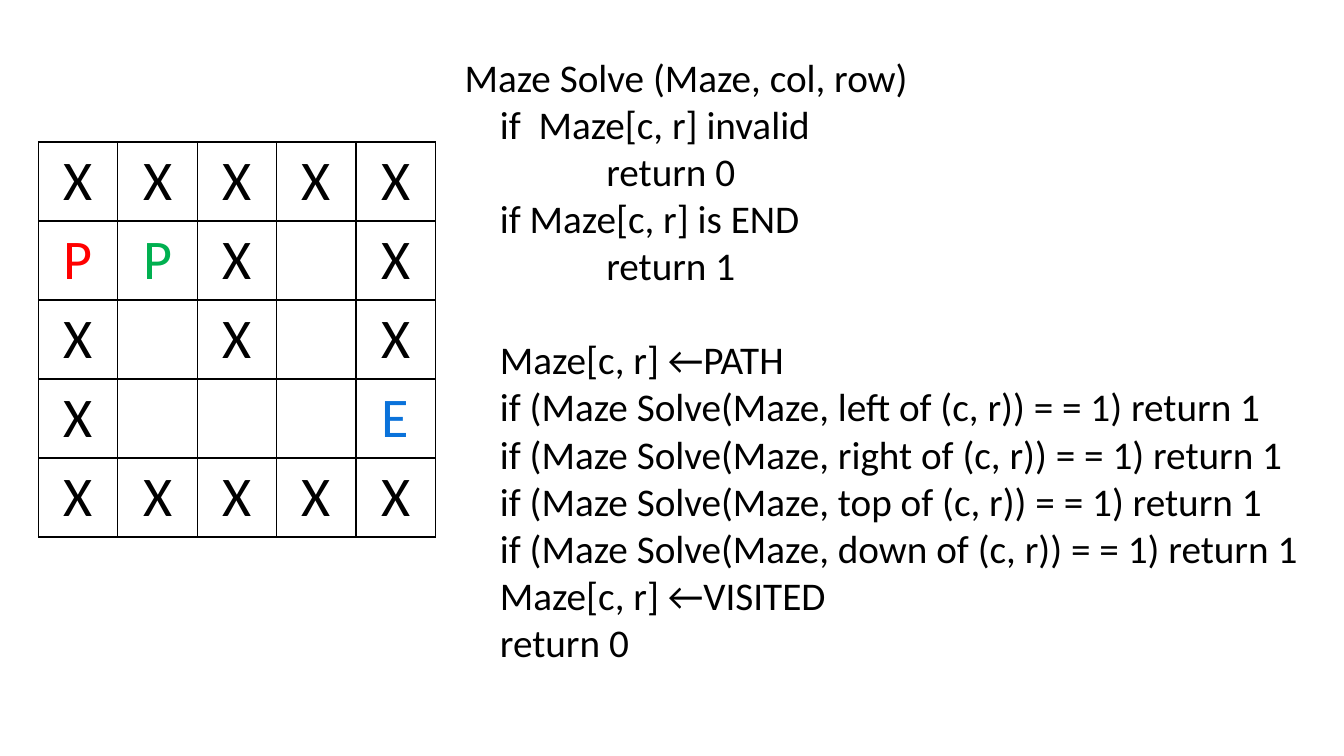
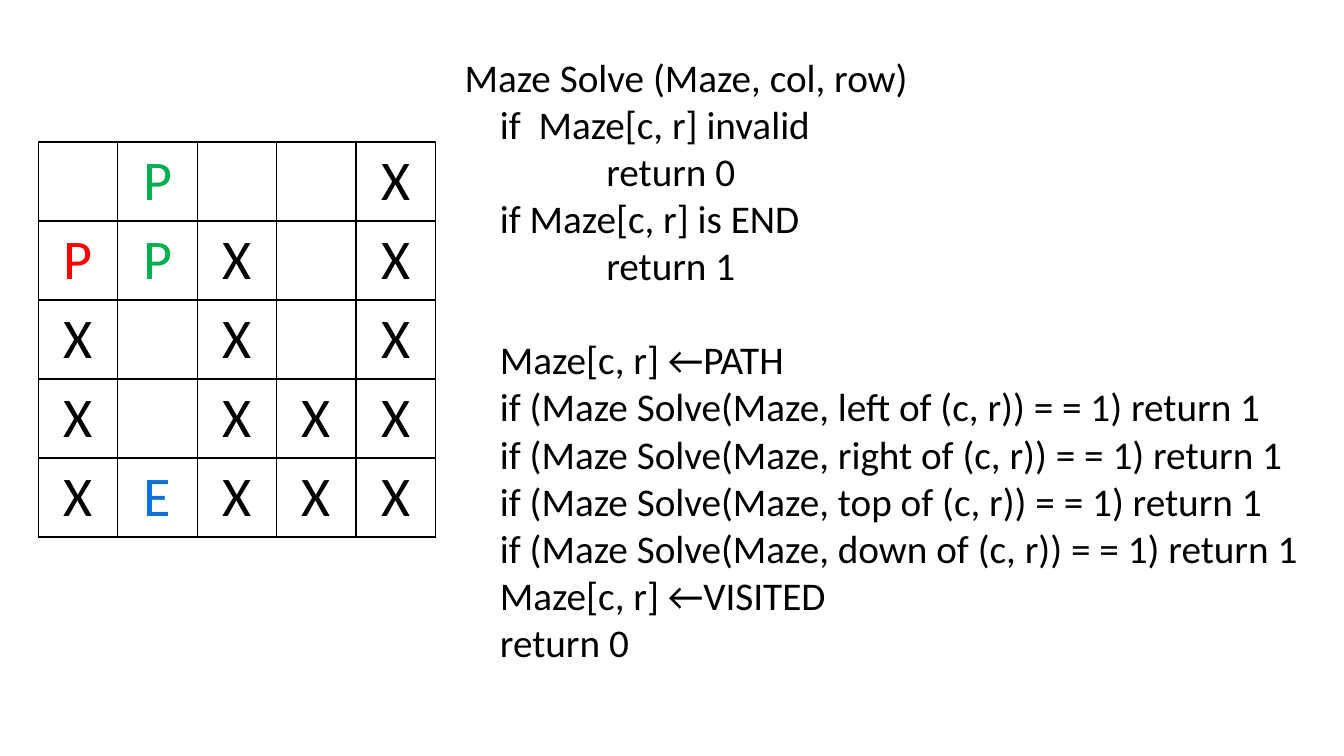
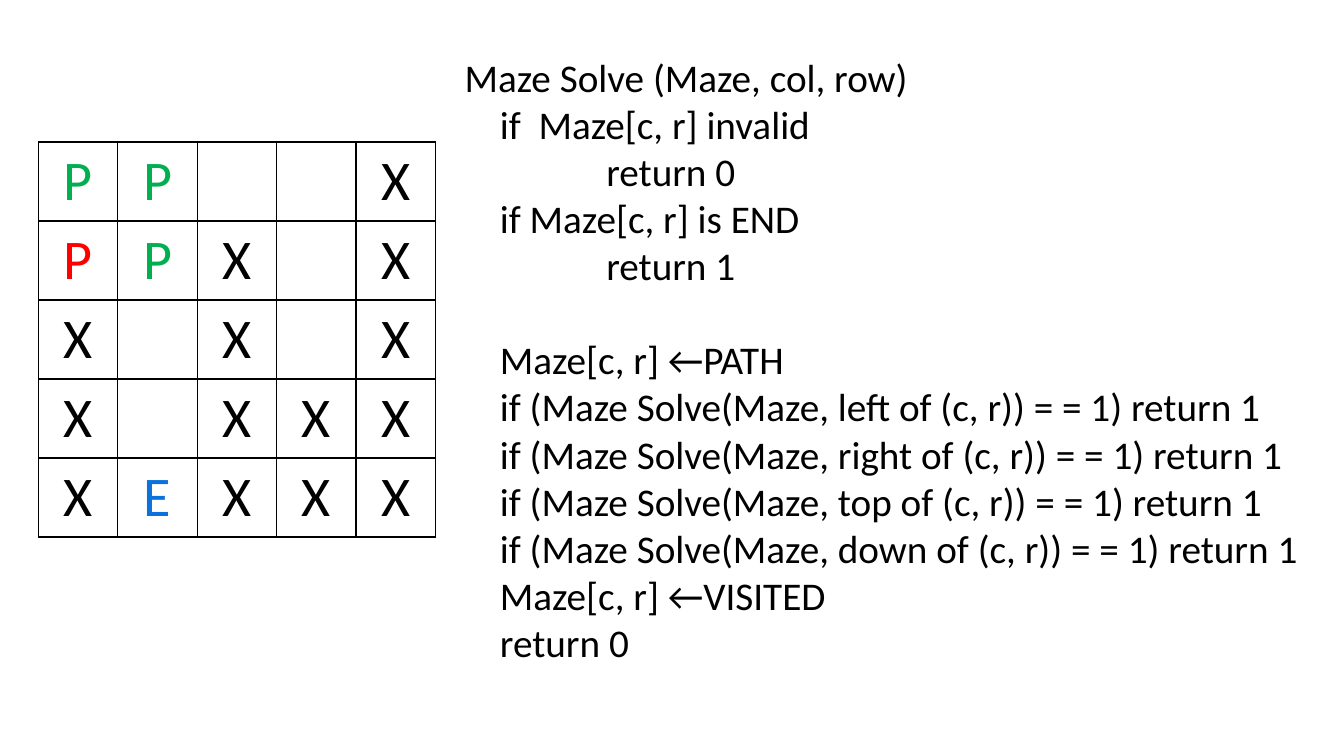
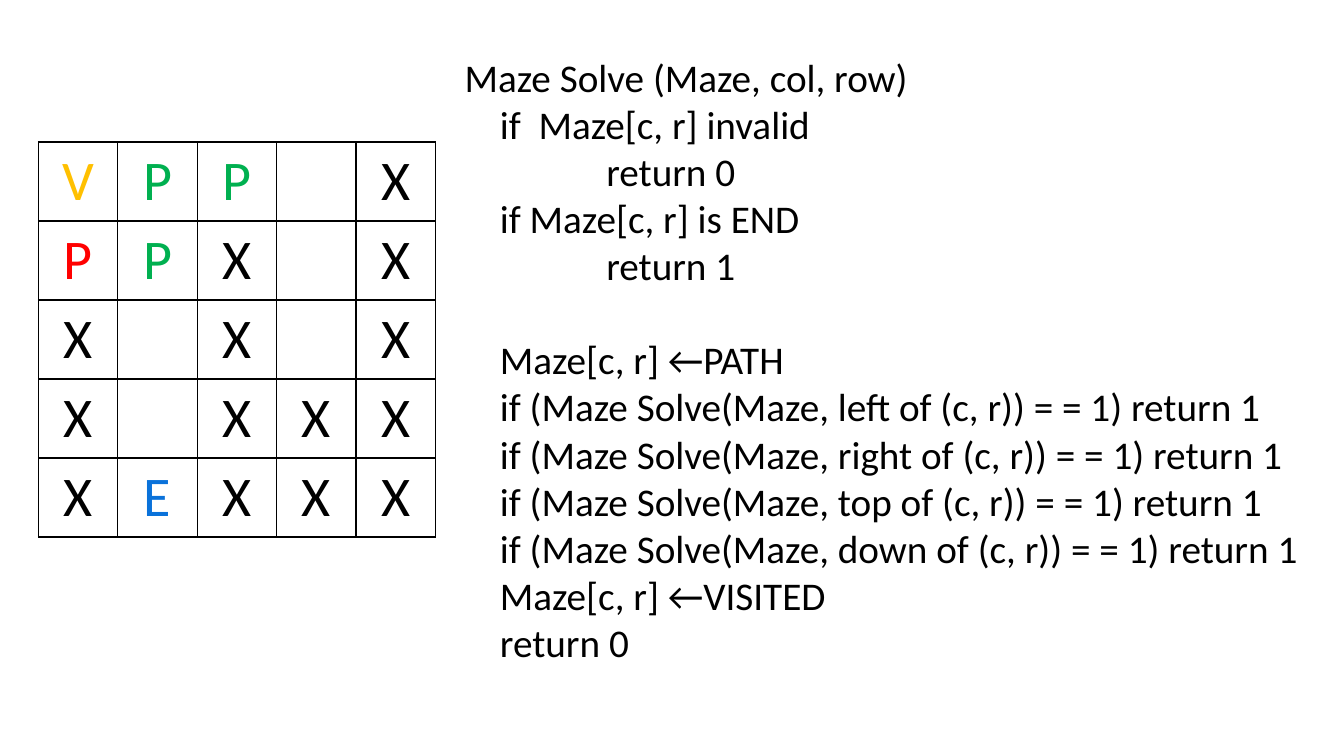
"""Four steps of a recursive maze search, beside its pseudocode."""
from dataclasses import dataclass

from lxml import etree
from pptx import Presentation
from pptx.dml.color import RGBColor
from pptx.enum import text
from pptx.oxml import ns
from pptx.util import Cm, Pt

FONT = "Calibri"
BLACK = RGBColor(0x00, 0x00, 0x00)
RED = RGBColor(0xFF, 0x00, 0x00)
GREEN = RGBColor(0x00, 0xB0, 0x50)
BLUE = RGBColor(0x0A, 0x72, 0xDA)
GOLD = RGBColor(0xFF, 0xC0, 0x00)

# Mark in a maze row -> letter shown and its colour ("S" is the start of the path).
MARKS = {
    "X": ("X", BLACK),
    "S": ("P", RED),
    "P": ("P", GREEN),
    "V": ("V", GOLD),
    "E": ("E", BLUE),
}

MAZES = [
    ["XXXXX", "SPX X", "X X X", "X   E", "XXXXX"],
    [" P  X", "SPX X", "X X X", "X XXX", "XEXXX"],
    ["PP  X", "SPX X", "X X X", "X XXX", "XEXXX"],
    ["VPP X", "SPX X", "X X X", "X XXX", "XEXXX"],
]
COL, ROW = Cm(2), Cm(1.99)

INDENTS = [Cm(0), Cm(0.89), Cm(3.57)]


@dataclass
class Line:
    """One line of pseudocode, with its depth and the gap above it."""
    words: str
    depth: int = 1
    gap: float = 0


CODE = [
    Line("Maze Solve (Maze, col, row)", 0),
    Line("if  Maze[c, r] invalid"),
    Line("return 0", 2),
    Line("if Maze[c, r] is END"),
    Line("return 1", 2),
    Line("Maze[c, r] ←PATH", gap=33.6),
    *(Line(f"if (Maze Solve(Maze, {side} of (c, r)) = = 1) return 1")
      for side in ("left", "right", "top", "down")),
    Line("Maze[c, r] ←VISITED"),
    Line("return 0"),
]


def style(par, size: int, color: RGBColor) -> None:
    """Set the font of a paragraph."""
    par.font.name = FONT
    par.font.size = Pt(size)
    par.font.color.rgb = color


def frame(cell) -> None:
    """Give a cell thin black borders and no fill."""
    props = cell._tc.get_or_add_tcPr()
    for side in ("a:lnL", "a:lnR", "a:lnT", "a:lnB"):
        edge = etree.SubElement(props, ns.qn(side), w=str(Pt(1)))
        fill = etree.SubElement(edge, ns.qn("a:solidFill"))
        etree.SubElement(fill, ns.qn("a:srgbClr"), val=str(BLACK))
    cell.fill.background()


def draw_maze(slide, maze: list[str]) -> None:
    """Draw the maze as a table of letters."""
    rows, cols = len(maze), len(maze[0])
    table = slide.shapes.add_table(
        rows, cols, Cm(0.97), Cm(3.58), COL * cols, ROW * rows).table
    table.first_row = table.horz_banding = False
    for r, marks in enumerate(maze):
        table.rows[r].height = ROW
        for c, mark in enumerate(marks):
            cell = table.cell(r, c)
            frame(cell)
            if mark in MARKS:
                letter, color = MARKS[mark]
                cell.text = letter
                par = cell.text_frame.paragraphs[0]
                par.alignment = text.PP_ALIGN.CENTER
                style(par, 40, color)


def draw_code(slide, lines: list[Line]) -> None:
    """Write the pseudocode, indented by depth."""
    box = slide.shapes.add_textbox(Cm(11.46), Cm(1.22), Cm(22.02), Cm(15.82))
    body = box.text_frame
    body.word_wrap = True
    body.auto_size = text.MSO_AUTO_SIZE.SHAPE_TO_FIT_TEXT
    body.text = "\n".join(line.words for line in lines)
    for par, line in zip(body.paragraphs, lines):
        style(par, 28, BLACK)
        par.space_before = Pt(line.gap)
        par._p.get_or_add_pPr().set("marL", str(INDENTS[line.depth]))


def main() -> None:
    """Build one slide for each state of the maze."""
    deck = Presentation()
    deck.slide_width, deck.slide_height = Cm(33.87), Cm(19.05)
    blank = deck.slide_layouts[6]
    for maze in MAZES:
        slide = deck.slides.add_slide(blank)
        draw_maze(slide, maze)
        draw_code(slide, CODE)
    deck.save("out.pptx")


main()
